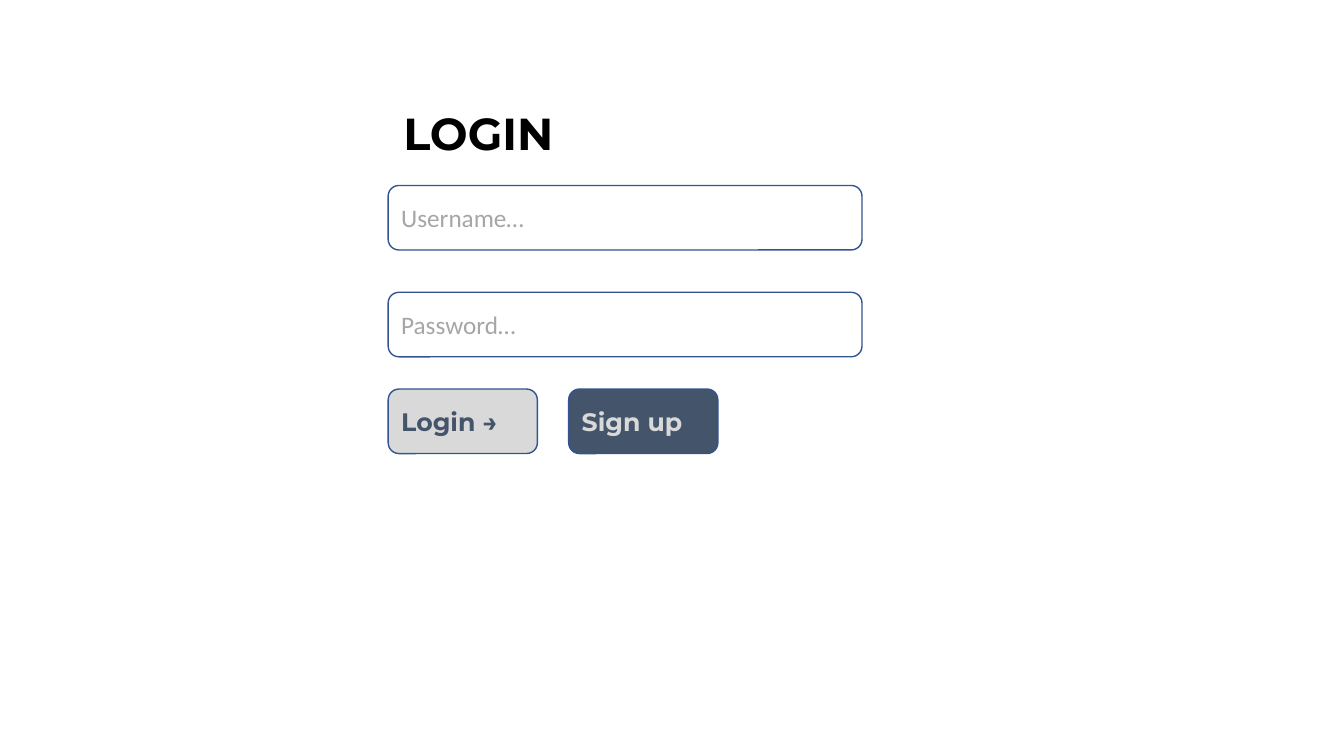
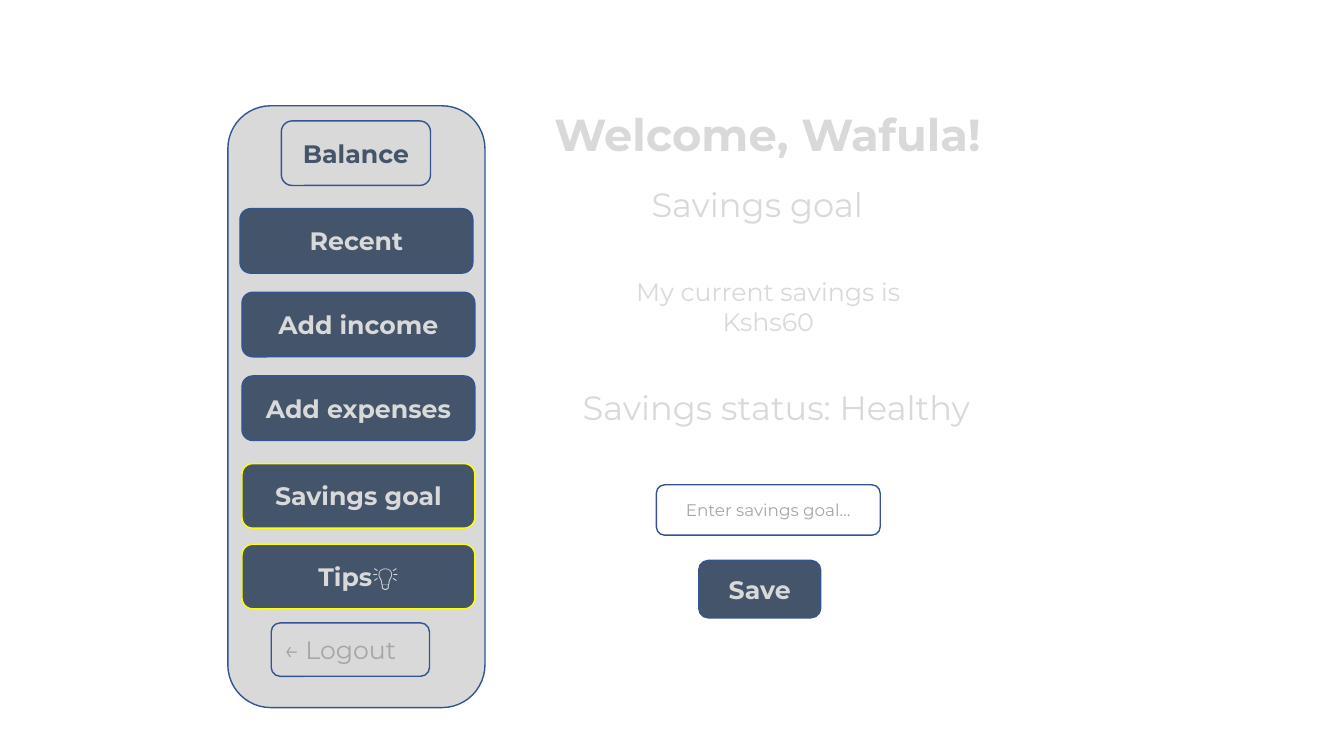
from pptx import Presentation
from pptx.dml.color import RGBColor
from pptx.enum import shapes, text
from pptx.util import Inches, Pt

COLORS = {
    "ink": "000000",
    "navy": "44546A",
    "silver": "D9D9D9",
    "hint": "A6A6A6",
    "outline": "325491",
    "highlight": "FFFF00",
}
LEFT, CENTER = text.PP_ALIGN.LEFT, text.PP_ALIGN.CENTER


def rgb(name):
    return RGBColor.from_string(COLORS[name])


class Screen:
    heading_font = "Montserrat"
    body_font = "Calibri"

    def __init__(self, prs):
        self.prs = prs
        self.s = None

    def new(self, title, box, color):
        self.s = self.prs.slides.add_slide(self.prs.slide_layouts[5])
        sp = self.s.shapes.title
        sp.left, sp.top, sp.width, sp.height = (Inches(v) for v in box)
        self.set_text(sp, title, 32, color, bold=True,
                      anchor=text.MSO_ANCHOR.TOP)

    def set_text(self, sp, words, size, color, bold=False, align=CENTER,
                 font=heading_font, anchor=text.MSO_ANCHOR.MIDDLE):
        tf = sp.text_frame
        tf.word_wrap = True
        tf.auto_size = text.MSO_AUTO_SIZE.NONE
        tf.vertical_anchor = anchor
        p = tf.paragraphs[0]
        p.text = words
        p.alignment = align
        p.font.name = font
        p.font.size = Pt(size)
        p.font.bold = bold
        p.font.color.rgb = rgb(color)

    def label(self, words, box, size):
        sp = self.s.shapes.add_textbox(*(Inches(v) for v in box))
        self.set_text(sp, words, size, "silver", anchor=text.MSO_ANCHOR.TOP)

    def panel(self, box, fill=None, line="outline"):
        sp = self.s.shapes.add_shape(
            shapes.MSO_SHAPE.ROUNDED_RECTANGLE, *(Inches(v) for v in box))
        sp.shadow.inherit = False
        if fill:
            sp.fill.solid()
            sp.fill.fore_color.rgb = rgb(fill)
        else:
            sp.fill.background()
        sp.line.color.rgb = rgb(line)
        sp.line.width = Pt(1)
        return sp

    def field(self, words, box, size=18, align=LEFT, font=heading_font):
        self.set_text(self.panel(box), words, size, "hint",
                      align=align, font=font)

    def button(self, words, box, fill="navy", color="silver",
               line="outline", align=CENTER):
        sp = self.panel(box, fill, line)
        self.set_text(sp, words, 18, color, bold=True, align=align)


def login(screen):
    left, height = 3.85, 0.64
    screen.new("LOGIN", (left, 1, 1.79, height), "ink")
    for words, top in (("Username…", 1.84), ("Password…", 2.9)):
        screen.field(words, (left, top, 4.7, height), font=screen.body_font)
    screen.button("Login →", (left, 3.86, 1.48, height),
                  fill="silver", color="navy", align=LEFT)
    screen.button("Sign up", (5.64, 3.86, 1.48, height), align=LEFT)


def savings(screen):
    screen.new("Welcome, Wafula!", (5.33, 1.01, 4.57, 0.64), "silver")
    screen.panel((2.26, 1.05, 2.55, 5.97), "silver")
    screen.button("Balance", (2.79, 1.2, 1.48, 0.64),
                  fill="silver", color="navy")
    menu = (
        ("Recent", 2.38, 2.07, "outline"),
        ("Add income", 2.4, 2.9, "outline"),
        ("Add expenses", 2.4, 3.73, "outline"),
        ("Savings goal", 2.4, 4.6, "highlight"),
        ("Tips💡", 2.4, 5.4, "highlight"),
    )
    for words, left, top, line in menu:
        screen.button(words, (left, top, 2.31, 0.64), line=line)
    screen.field("← Logout", (2.69, 6.18, 1.57, 0.53))
    screen.label("Savings goal", (6.17, 1.78, 2.68, 0.5), 24)
    screen.label("My current savings is Kshs60", (5.84, 2.69, 3.56, 0.71), 18)
    screen.label("Savings status: Healthy", (5.25, 3.79, 4.9, 0.5), 24)
    screen.field("Enter savings goal…", (6.51, 4.81, 2.22, 0.5),
                 size=12, align=CENTER)
    screen.button("Save", (6.93, 5.56, 1.21, 0.57))


def main():
    prs = Presentation()
    prs.slide_width, prs.slide_height = Inches(13.33), Inches(7.5)
    screen = Screen(prs)
    login(screen)
    savings(screen)
    prs.save("out.pptx")


if __name__ == "__main__":
    main()
